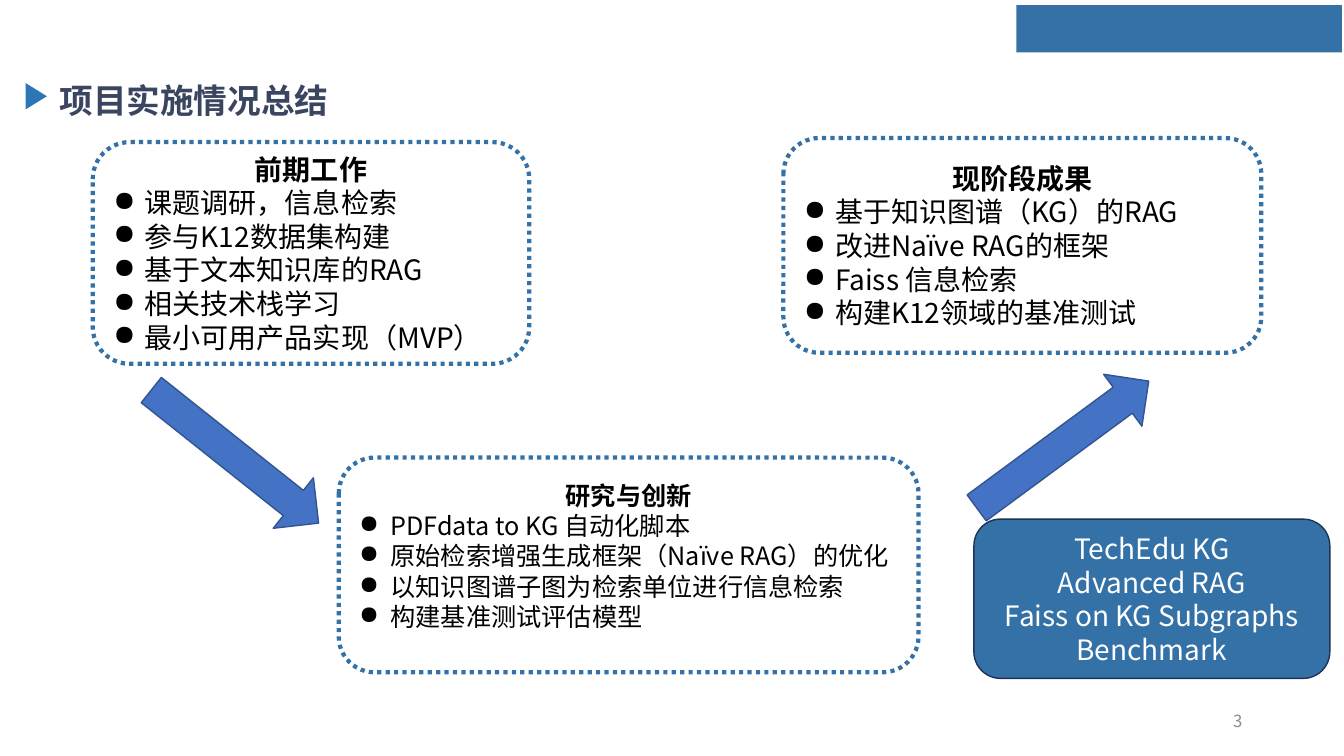
"""Builds the project progress summary slide."""
from dataclasses import dataclass

from lxml.etree import SubElement
from pptx import Presentation
from pptx.dml.color import RGBColor
from pptx.enum.dml import MSO_LINE
from pptx.enum.shapes import MSO_SHAPE as SHAPE
from pptx.enum.text import MSO_ANCHOR as ANCHOR, PP_ALIGN as ALIGN
from pptx.oxml.ns import qn
from pptx.util import Inches, Pt


@dataclass(frozen=True)
class Theme:
    font: str = "Noto Sans CJK SC"
    blue: str = "3471A7"
    marker: str = "2E75B6"
    arrow: str = "4472C4"
    arrow_edge: str = "325491"
    navy: str = "1E3256"
    title: str = "3A4660"
    black: str = "000000"
    white: str = "FFFFFF"
    grey: str = "8C8C8C"
    title_size: int = 24
    body_size: int = 20
    compact_size: int = 18
    number_size: int = 12
    line_height: float = 1.2


theme = Theme()
prs = Presentation()
prs.slide_width, prs.slide_height = Inches(13.33), Inches(7.5)
s = prs.slides.add_slide(prs.slide_layouts[6])


def add_shape(kind, box, fill, line=None, width=1, rotation=0):
    sp = s.shapes.add_shape(kind, *map(Inches, box))
    sp.shadow.inherit = False
    sp.rotation = rotation
    sp.fill.solid()
    sp.fill.fore_color.rgb = RGBColor.from_string(fill)
    if line:
        sp.line.color.rgb = RGBColor.from_string(line)
        sp.line.width = Pt(width)
    else:
        sp.line.fill.background()
    return sp


def add_line(tf, text, size, color, align=ALIGN.LEFT, bold=False, bullet=False):
    p = tf.paragraphs[0] if not tf.text else tf.add_paragraph()
    p.alignment = align
    p.line_spacing = Pt(size * theme.line_height)
    if bullet:
        pPr = p._p.get_or_add_pPr()
        pPr.set("marL", str(Inches(0.31)))
        pPr.set("indent", str(-Inches(0.31)))
        SubElement(pPr, qn("a:buChar")).set("char", "●")
    r = p.add_run()
    r.text = text
    r.font.name, r.font.size, r.font.bold = theme.font, Pt(size), bold
    r.font.color.rgb = RGBColor.from_string(color)
    SubElement(r._r.get_or_add_rPr(), qn("a:ea")).set("typeface", theme.font)


labels = [
    ("3", (9.42, 6.95, 3, 0.4), theme.number_size, theme.grey, ALIGN.RIGHT, False, 0.1),
    ("项目实施情况总结", (0.52, 0.75, 4.57, 0.48), theme.title_size, theme.title, ALIGN.LEFT, True, 0.07),
]
for text, box, size, color, align, bold, inset in labels:
    tf = s.shapes.add_textbox(*map(Inches, box)).text_frame
    tf.word_wrap = True
    tf.vertical_anchor = ANCHOR.MIDDLE
    tf.margin_left = tf.margin_right = Inches(inset)
    add_line(tf, text, size, color, align, bold)

add_shape(SHAPE.ISOSCELES_TRIANGLE, (0.23, 0.85, 0.26, 0.21), theme.marker, rotation=90)
add_shape(SHAPE.RECTANGLE, (10.08, 0.05, 3.23, 0.47), theme.blue)

stages = [
    ("前期工作", (0.92, 1.41, 4.33, 2.2), theme.body_size, 0.05,
     ["课题调研，信息检索", "参与K12数据集构建", "基于文本知识库的RAG",
      "相关技术栈学习", "最小可用产品实现（MVP）"]),
    ("现阶段成果", (7.77, 1.37, 4.74, 2.13), theme.body_size, 0.05,
     ["基于知识图谱（KG）的RAG", "改进Naïve RAG的框架", "Faiss 信息检索",
      "构建K12领域的基准测试"]),
    ("研究与创新", (3.36, 4.54, 5.75, 2.13), theme.compact_size, 0.23,
     ["PDFdata to KG 自动化脚本", "原始检索增强生成框架（Naïve RAG）的优化",
      "以知识图谱子图为检索单位进行信息检索", "构建基准测试评估模型"]),
]
for heading, box, size, bottom, items in stages:
    sp = add_shape(SHAPE.ROUNDED_RECTANGLE, box, theme.white, theme.blue, 3)
    sp.line.dash_style = MSO_LINE.ROUND_DOT
    tf = sp.text_frame
    tf.word_wrap = True
    tf.vertical_anchor = ANCHOR.MIDDLE
    tf.margin_bottom = Inches(bottom)
    add_line(tf, heading, size, theme.black, ALIGN.CENTER, bold=True)
    for item in items:
        add_line(tf, item, size, theme.black, bullet=True)

summary = add_shape(SHAPE.ROUNDED_RECTANGLE, (9.66, 5.15, 3.53, 1.58), theme.blue, theme.navy)
tf = summary.text_frame
tf.word_wrap = True
tf.vertical_anchor = ANCHOR.MIDDLE
for keyword in ["TechEdu KG", "Advanced RAG", "Faiss on KG Subgraphs", "Benchmark"]:
    add_line(tf, keyword, theme.body_size, theme.white, ALIGN.CENTER)

for left, top, angle in [(1.27, 4.21, 38.5), (9.48, 4.09, 323.6)]:
    add_shape(SHAPE.RIGHT_ARROW, (left, top, 2.12, 0.64), theme.arrow, theme.arrow_edge, rotation=angle)

prs.save("out.pptx")
